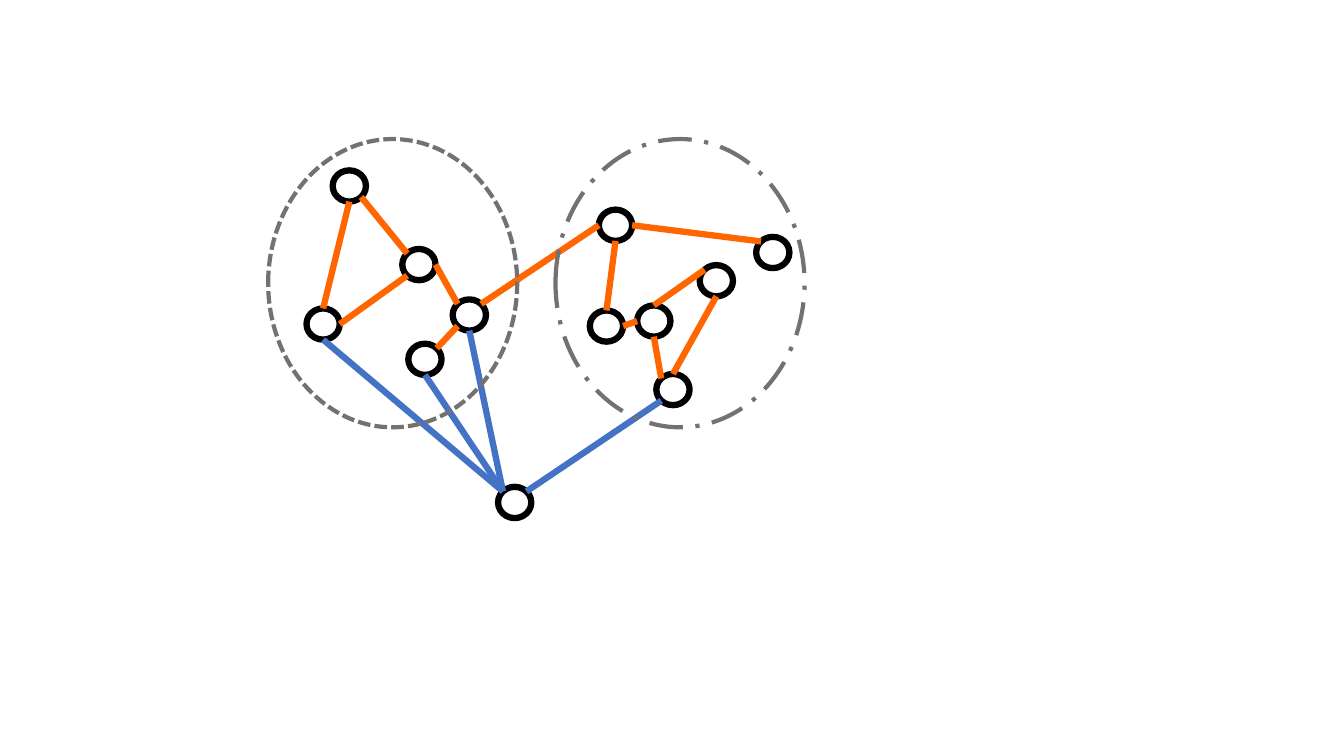
import math

import pptx
import pptx.dml.color
import pptx.enum.dml
import pptx.enum.shapes
import pptx.oxml.ns
import pptx.util
from lxml import etree

PX = 9144  # EMU per px, 100 px to the inch
COLORS = {"node": "000000", "link": "FF6600", "hub_link": "4472C4", "cluster": "767171"}
NODE_W, NODE_H = 33, 31
DASH = pptx.enum.dml.MSO_LINE

# Offsets within the graph box
NODES = {
    "left": (38, 168), "middle": (133, 109), "lower": (139, 203), "bridge": (183, 159),
    "center": (366, 165), "top": (64, 31), "gate": (328, 70), "inner": (319, 170),
    "bottom": (385, 233), "upper": (428, 125), "far": (484, 97), "hub": (228, 345),
}
CLUSTERS = [(0, DASH.SQUARE_DOT), (285, DASH.LONG_DASH_DOT)]
CLUSTER_W, CLUSTER_H = 247, 286

# Compass directions of the points where links touch a node
ANGLES = {"E": 0, "SE": 45, "S": 90, "SW": 135, "W": 180, "NW": 225, "N": 270, "NE": 315}
LINKS = [
    ("inner", "E", "center", "W"), ("inner", "N", "gate", "S"),
    ("bottom", "N", "upper", "S"), ("center", "N", "upper", "NW"),
    ("bridge", "NE", "gate", "W"), ("gate", "E", "far", "NW"),
    ("center", "S", "bottom", "NW"), ("middle", "E", "bridge", "NW"),
    ("bridge", "SW", "lower", "NE"), ("top", "SE", "middle", "NW"),
    ("left", "E", "middle", "SW"), ("left", "N", "top", "S"),
]
HUB_LINKS = [
    ("lower", "S", "hub", "NW"), ("left", "S", "hub", "NW"),
    ("bridge", "S", "hub", "NW"), ("bottom", "SW", "hub", "NE"),
]


def set_line(sp, color, width):
    sp.line.color.rgb = pptx.dml.color.RGBColor.from_string(COLORS[color])
    sp.line.width = pptx.util.Pt(width)


def add_ellipse(shapes, x, y, w, h, color, width):
    sp = shapes.add_shape(pptx.enum.shapes.MSO_SHAPE.OVAL, x * PX, y * PX, w * PX, h * PX)
    sp.shadow.inherit = False
    sp.fill.background()
    set_line(sp, color, width)
    return sp


def rim_point(x, y, node, side):
    """Return the EMU position of a compass point on a node's rim."""
    dx, dy = NODES[node]
    angle = math.radians(ANGLES[side])
    return (round((x + dx + NODE_W / 2 * (1 + math.cos(angle))) * PX),
            round((y + dy + NODE_H / 2 * (1 + math.sin(angle))) * PX))


def add_link(shapes, start, end, color):
    line = shapes.add_connector(pptx.enum.shapes.MSO_CONNECTOR.STRAIGHT, *start, *end)
    set_line(line, color, 4.5)
    etree.SubElement(line._element.spPr, pptx.oxml.ns.qn("a:effectLst"))


def add_graph(slide, x, y):
    shapes = slide.shapes.add_group_shape().shapes
    for dx, dy in NODES.values():
        add_ellipse(shapes, x + dx, y + dy, NODE_W, NODE_H, "node", 4.5)
    for links, color in ((LINKS, "link"), (HUB_LINKS, "hub_link")):
        for first, first_side, second, second_side in links:
            add_link(shapes, rim_point(x, y, first, first_side),
                     rim_point(x, y, second, second_side), color)
    for dx, dash in CLUSTERS:
        sp = add_ellipse(shapes, x + dx, y, CLUSTER_W, CLUSTER_H, "cluster", 3)
        sp.line.dash_style = dash


def main():
    prs = pptx.Presentation()
    prs.slide_width = pptx.util.Inches(13.33)
    prs.slide_height = pptx.util.Inches(7.5)
    slide = prs.slides.add_slide(prs.slide_layouts[6])
    add_graph(slide, 266, 138)
    prs.save("out.pptx")


if __name__ == "__main__":
    main()
